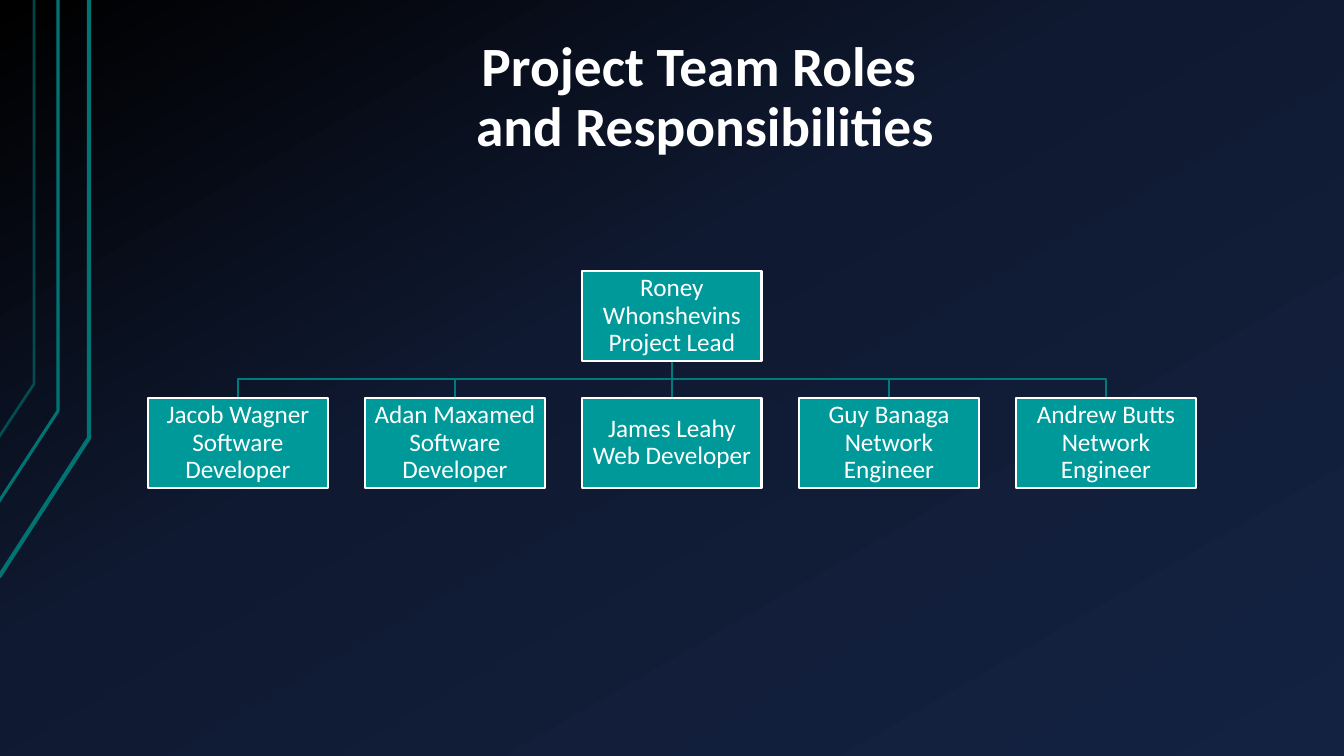
from copy import deepcopy
from dataclasses import dataclass

from lxml.etree import SubElement
from pptx import Presentation
from pptx.dml.color import RGBColor
from pptx.enum.shapes import MSO_CONNECTOR, MSO_SHAPE
from pptx.enum.text import MSO_ANCHOR, MSO_AUTO_SIZE, PP_ALIGN
from pptx.oxml.ns import qn
from pptx.util import Emu, Pt

PX = 9071.43  # EMU per pixel at 100.8 pixels to the inch


@dataclass(frozen=True)
class Theme:
    """Colours, font and type sizes of the slide."""
    backdrop: tuple = ((0, "000000"), (0.43, "0F1931"), (1, "142242"))
    rail: str = "007373"
    branch: str = "007B7B"
    card: str = "009999"
    light: str = "FFFFFF"
    font: str = "Calibri"
    title_size: float = 39.6
    card_size: float = 18


theme = Theme()


def draw_path(points, color, width):
    """Draw an open, unfilled line through pixel points."""
    builder = slide.shapes.build_freeform(*points[0], scale=PX)
    builder.add_line_segments(points[1:], close=False)
    path = builder.convert_to_shape()
    path.shadow.inherit = False
    path.fill.background()
    path.line.color.rgb = RGBColor.from_string(color)
    path.line.width = Pt(width)
    return path


def write_centred(frame, lines, size, bold, anchor, insets):
    """Write centred light text, one run per line."""
    frame.word_wrap = True
    frame.auto_size = MSO_AUTO_SIZE.NONE
    frame.vertical_anchor = anchor
    across, down = (Emu(round(inset * PX)) for inset in insets)
    frame.margin_left = frame.margin_right = across
    frame.margin_top = frame.margin_bottom = down
    paragraph = frame.paragraphs[0]
    paragraph.alignment = PP_ALIGN.CENTER
    paragraph.line_spacing = 0.9
    for index, line in enumerate(lines):
        if index:
            paragraph.add_line_break()
        run = paragraph.add_run()
        run.text = line
        run.font.name = theme.font
        run.font.size = Pt(size)
        run.font.bold = bold
        run.font.color.rgb = RGBColor.from_string(theme.light)


deck = Presentation()
deck.slide_width, deck.slide_height = round(1344 * PX), round(756 * PX)
slide = deck.slides.add_slide(deck.slide_layouts[5])

# Background gradient, widened from two stops to three
backdrop = slide.background.fill
backdrop.gradient()
backdrop.gradient_angle = 300
stop_list = slide.element.find(".//" + qn("a:gsLst"))
stop_list.append(deepcopy(stop_list[-1]))
for stop, (position, color) in zip(backdrop.gradient_stops, theme.backdrop):
    stop.position = position
    stop.color.rgb = RGBColor.from_string(color)

# Decorative rails at the left edge: foot, bend, line width, opacity
rails = [
    ((-1, 577), (89, 438), 3, 100),
    ((-2, 503), (58, 411), 2.25, 100),
    ((-1, 437), (34, 384), 2, 60),
]
for foot, bend, width, opacity in rails:
    rail = draw_path([foot, bend, (bend[0], 0)], theme.rail, width)
    if opacity < 100:
        rail_color = rail.line.fill.fore_color
        rgb = rail.element.find(".//" + qn("a:ln")).find(".//" + qn("a:srgbClr"))
        SubElement(rgb, qn("a:alpha"), val=str(opacity * 1000))

# Title
title = slide.shapes.title
title.left, title.top, title.width, title.height = (
    round(length * PX) for length in (134, 30, 1142, 135))
write_centred(title.text_frame, ["Project Team Roles ", "and Responsibilities"],
              theme.title_size, True, MSO_ANCHOR.BOTTOM, (13, 7))

# Team chart
CARD_W, CARD_H, PITCH = 180, 90, 217
LEAD_TOP, TEAM_TOP, TEAM_LEFT = 271, 398, 148
LEAD_BOTTOM = LEAD_TOP + CARD_H
BUS = (LEAD_BOTTOM + TEAM_TOP) // 2
lead = "Roney Whonshevins Project Lead"
team = [
    "Jacob Wagner Software Developer",
    "Adan Maxamed Software Developer",
    "James Leahy Web Developer",
    "Guy Banaga Network Engineer",
    "Andrew Butts Network Engineer",
]
member_lefts = [TEAM_LEFT + PITCH * index for index in range(len(team))]
lead_left = member_lefts[len(team) // 2]
lead_centre = lead_left + CARD_W // 2

for member_left in reversed(member_lefts):
    centre = member_left + CARD_W // 2
    if centre != lead_centre:
        draw_path([(lead_centre, LEAD_BOTTOM), (lead_centre, BUS),
                   (centre, BUS), (centre, TEAM_TOP)], theme.branch, 2)
        continue
    stem = slide.shapes.add_connector(
        MSO_CONNECTOR.STRAIGHT,
        *(round(length * PX) for length in (centre, LEAD_BOTTOM, centre, TEAM_TOP)))
    stem.line.color.rgb = RGBColor.from_string(theme.branch)
    stem.line.width = Pt(2)
    SubElement(stem.element.spPr, qn("a:effectLst"))

cards = [(lead, lead_left, LEAD_TOP)]
cards += [(member, left, TEAM_TOP) for member, left in zip(team, member_lefts)]
for person, left, top in cards:
    card = slide.shapes.add_shape(
        MSO_SHAPE.RECTANGLE,
        *(round(length * PX) for length in (left, top, CARD_W, CARD_H)))
    card.shadow.inherit = False
    card.fill.solid()
    card.fill.fore_color.rgb = RGBColor.from_string(theme.card)
    card.line.color.rgb = RGBColor.from_string(theme.light)
    card.line.width = Pt(2)
    write_centred(card.text_frame, [person], theme.card_size, False,
                  MSO_ANCHOR.MIDDLE, (1, 1))

deck.save("out.pptx")
